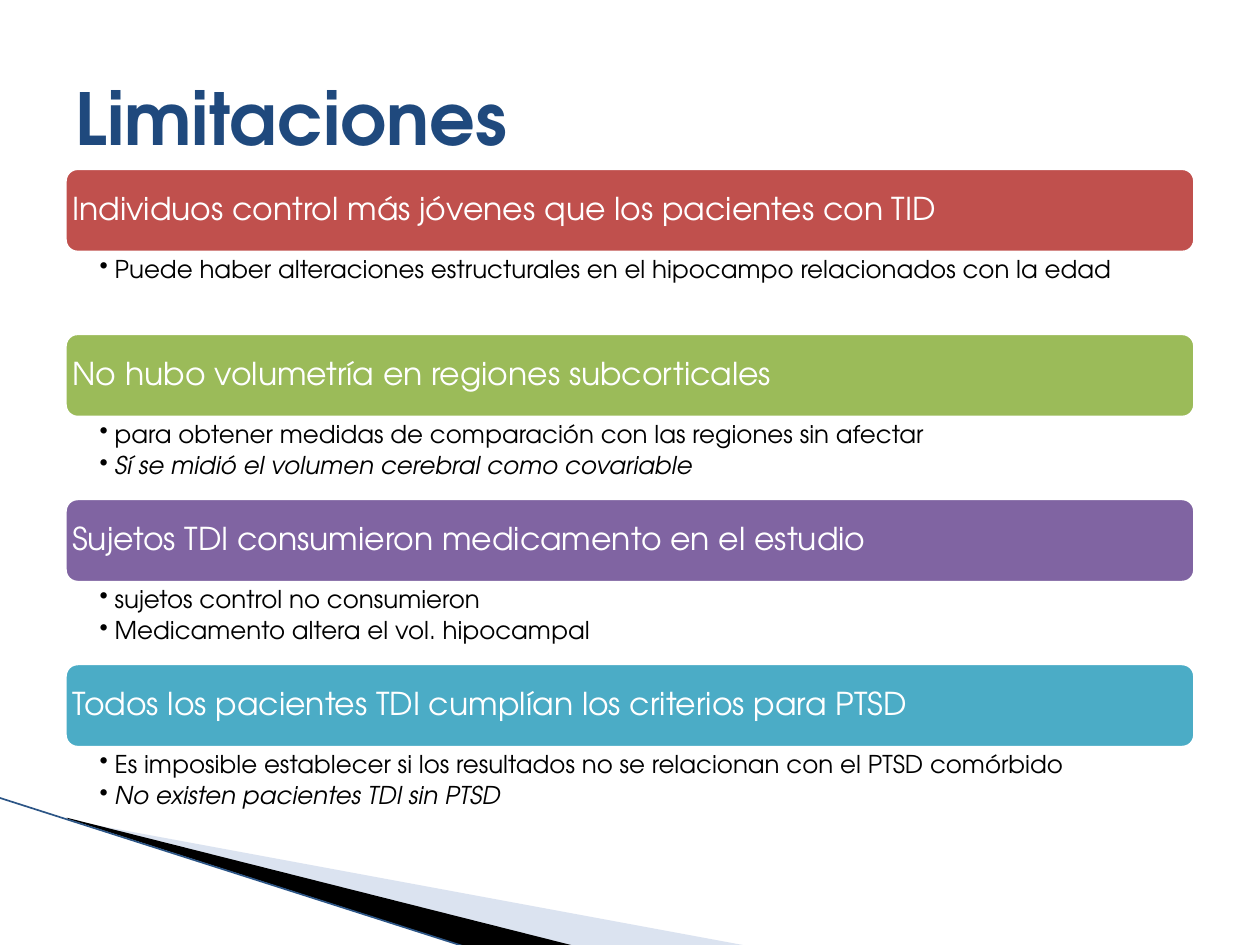
from lxml import etree
from pptx import Presentation
from pptx import util as u
from pptx.dml.color import RGBColor
from pptx.enum import shapes, text
from pptx.oxml import ns

FONT = "TeX Gyre Adventor"
COLORS = {
    "title": "1F497D", "white": "FFFFFF", "black": "000000",
    "red": "C0504D", "green": "9BBB59", "purple": "8064A2", "teal": "4BACC6",
    "pale": "A7B9DB", "edge": "2C5586",
}

# Heading, colour, and bullets as (wording, italic)
LIMITATIONS = [
    ("Individuos control más jóvenes que los pacientes con TID", "red", [
        ("Puede haber alteraciones estructurales en el hipocampo relacionados con la edad", False)]),
    ("No hubo volumetría en regiones subcorticales", "green", [
        ("para obtener medidas de comparación con las regiones sin afectar", False),
        ("Sí se midió el volumen cerebral como covariable", True)]),
    ("Sujetos TDI consumieron medicamento en el estudio", "purple", [
        ("sujetos control no consumieron", False),
        ("Medicamento altera el vol. hipocampal", False)]),
    ("Todos los pacientes TDI cumplían los criterios para PTSD", "teal", [
        ("Es imposible establecer si los resultados no se relacionan con el PTSD comórbido", False),
        ("No existen pacientes TDI sin PTSD", True)]),
]

LEFT, WIDTH = 0.5, 9
TOP, PITCH = 1.32, 1.31
BAR_HEIGHT, BULLETS_HEIGHT = 0.7, 0.62


def rgb(name):
    return RGBColor.from_string(COLORS[name])


def format_paragraph(para, size, color, bold=False, italic=False):
    para.alignment = text.PP_ALIGN.LEFT
    for span in para.runs:
        font = span.font
        font.name, font.size = FONT, u.Pt(size)
        font.bold, font.italic = bold, italic
        font.color.rgb = rgb(color)


def set_margins(frame, left, top, right, bottom):
    frame.margin_left, frame.margin_top = u.Inches(left), u.Inches(top)
    frame.margin_right, frame.margin_bottom = u.Inches(right), u.Inches(bottom)


def add_title(slide, wording):
    title = slide.shapes.title
    title.left, title.top = u.Inches(LEFT), u.Inches(0.3)
    title.width, title.height = u.Inches(WIDTH), u.Inches(1.25)
    frame = title.text_frame
    frame.text = wording
    frame.auto_size = text.MSO_AUTO_SIZE.NONE
    frame.vertical_anchor = text.MSO_ANCHOR.MIDDLE
    format_paragraph(frame.paragraphs[0], 41, "title", bold=True)


def add_wedge(slide, points, color, opacity=None):
    corners = [(u.Inches(x), u.Inches(y)) for x, y in points]
    builder = slide.shapes.build_freeform(*corners[0])
    builder.add_line_segments(corners[1:], close=True)
    wedge = builder.convert_to_shape()
    wedge.shadow.inherit = False
    wedge.fill.solid()
    wedge.fill.fore_color.rgb = rgb(color)
    wedge.line.fill.background()
    if opacity is not None:
        color_node = wedge.fill._xPr.find(".//" + ns.qn("a:srgbClr"))
        etree.SubElement(color_node, ns.qn("a:alpha"), val=str(opacity * 1000))


def add_edge(slide, start, end):
    edge = slide.shapes.add_connector(
        shapes.MSO_CONNECTOR.STRAIGHT, *(u.Inches(v) for v in start + end))
    edge.line.color.rgb = rgb("edge")
    edge.line.width = u.Pt(0.95)
    etree.SubElement(edge._element.spPr, ns.qn("a:effectLst"))


def add_bar(slide, top, wording, color):
    bar = slide.shapes.add_shape(
        shapes.MSO_SHAPE.ROUNDED_RECTANGLE, u.Inches(LEFT), u.Inches(top),
        u.Inches(WIDTH), u.Inches(BAR_HEIGHT))
    bar.shadow.inherit = False
    bar.fill.solid()
    bar.fill.fore_color.rgb = rgb(color)
    bar.line.color.rgb = rgb("white")
    bar.line.width = u.Pt(4.33)
    frame = bar.text_frame
    frame.text = wording
    frame.word_wrap = True
    frame.vertical_anchor = text.MSO_ANCHOR.MIDDLE
    # The rounded corners already inset the text by about 0.03 inches
    set_margins(frame, 0.04, 0.04, 0.04, 0.04)
    para = frame.paragraphs[0]
    para.line_spacing = 0.9
    format_paragraph(para, 18, "white")


def add_bullets(slide, top, bullets):
    box = slide.shapes.add_textbox(
        u.Inches(LEFT), u.Inches(top), u.Inches(WIDTH), u.Inches(BULLETS_HEIGHT))
    frame = box.text_frame
    frame.word_wrap = True
    set_margins(frame, 0.29, 0.02, 0.11, 0.02)
    for index, (wording, italic) in enumerate(bullets):
        para = frame.add_paragraph() if index else frame.paragraphs[0]
        para.text = wording
        para.level = 1
        para.line_spacing = 0.9
        para.space_after = u.Pt(2.8)
        format_paragraph(para, 14, "black", italic=italic)
        properties = para._p.get_or_add_pPr()
        properties.set("marL", str(u.Inches(0.12)))
        properties.set("indent", str(-u.Inches(0.12)))
        etree.SubElement(properties, ns.qn("a:buChar"), char="•")


def main():
    deck = Presentation()
    deck.slide_width, deck.slide_height = u.Inches(10), u.Inches(7.5)
    slide = deck.slides.add_slide(deck.slide_layouts[5])

    # Corner decoration
    add_wedge(slide, [(0.55, 6.51), (5.95, 7.51), (4.56, 7.51), (0.55, 6.5)], "pale", 40)
    add_wedge(slide, [(0.53, 6.49), (4.57, 7.51), (3.72, 7.52), (0.54, 6.5)], "black")
    add_edge(slide, (-0.01, 6.33), (3.71, 7.52))

    # Title and the list of limitations
    add_title(slide, "Limitaciones")
    for index, (heading, color, bullets) in enumerate(LIMITATIONS):
        top = TOP + index * PITCH
        add_bar(slide, top, heading, color)
        add_bullets(slide, top + BAR_HEIGHT, bullets)

    deck.save("out.pptx")


if __name__ == "__main__":
    main()
